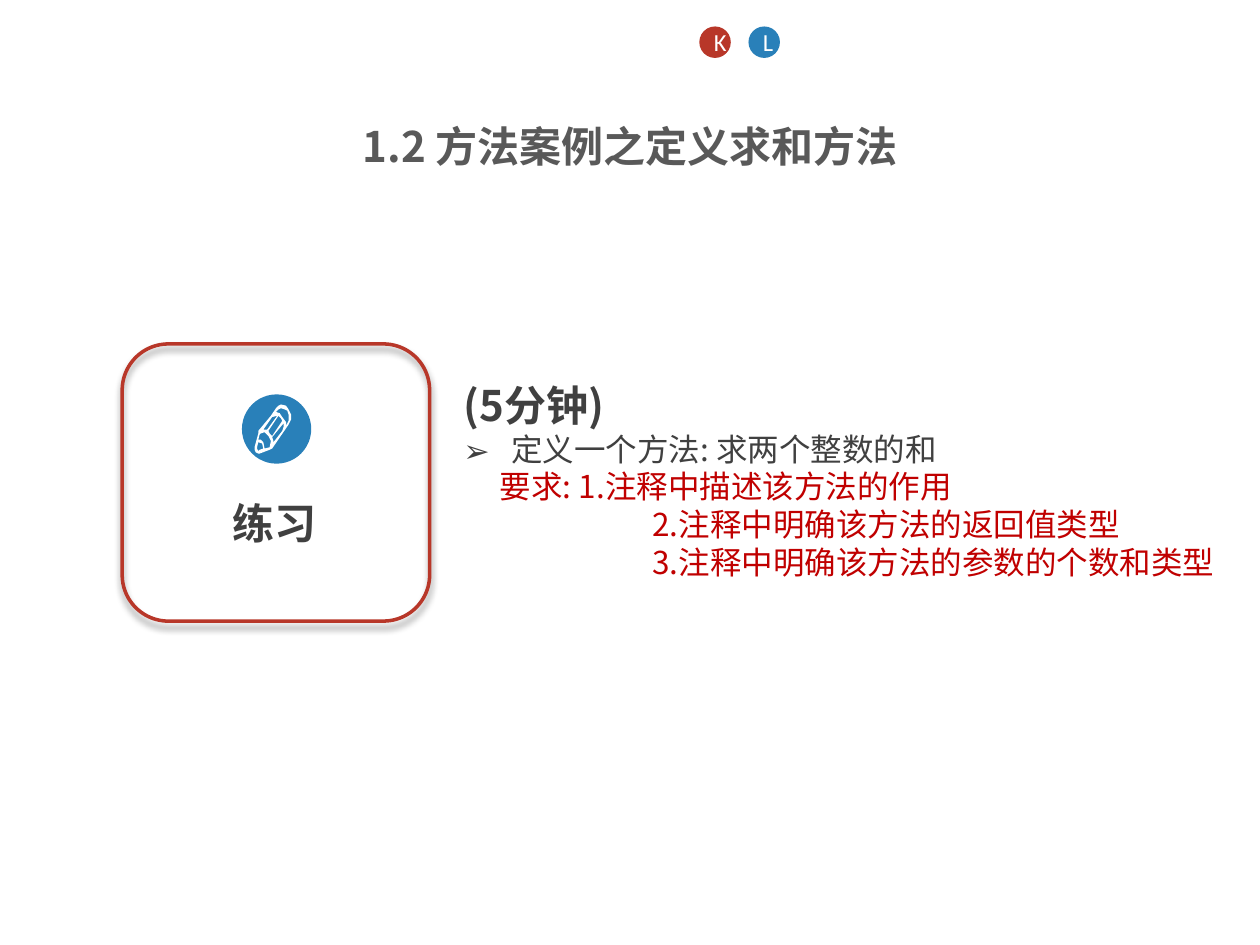
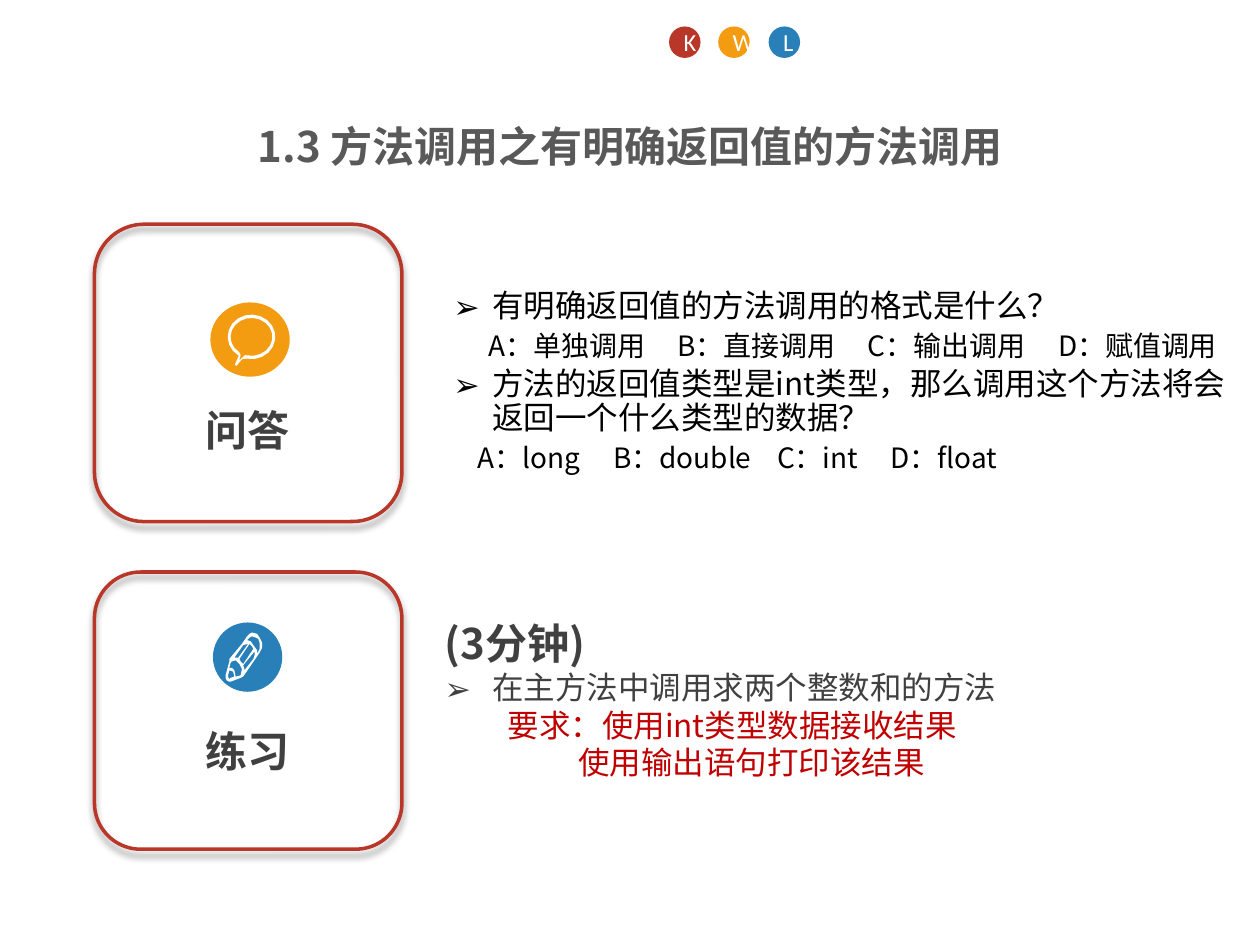
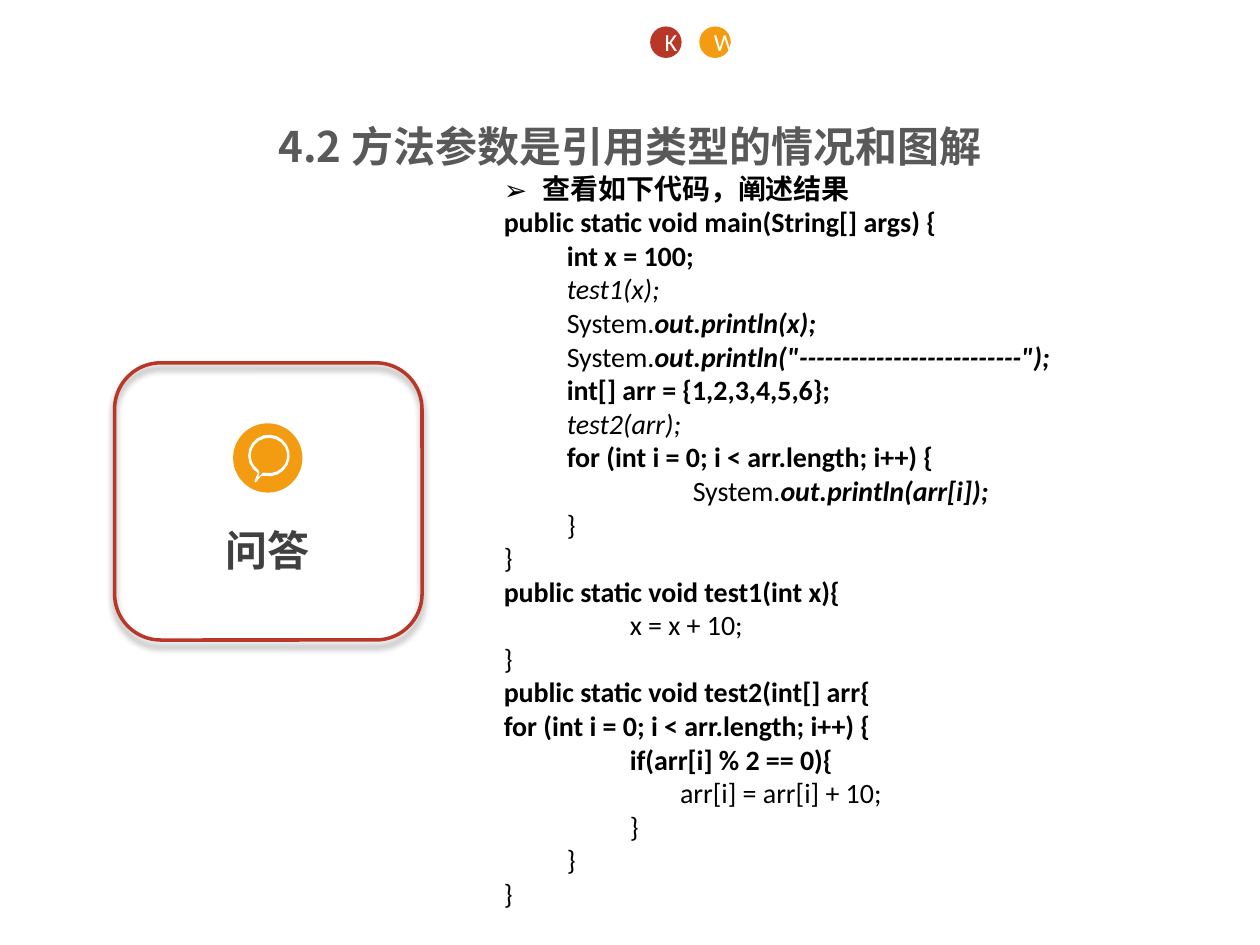
from dataclasses import dataclass
from math import cos, radians, sin

from lxml import etree
from pptx import Presentation
from pptx.dml.color import RGBColor
from pptx.enum.shapes import MSO_SHAPE
from pptx.enum.text import MSO_ANCHOR, PP_ALIGN
from pptx.oxml.ns import qn
from pptx.util import Emu, Pt

ELLIPSE = MSO_SHAPE.OVAL
ROUNDED = MSO_SHAPE.ROUNDED_RECTANGLE
CENTER = PP_ALIGN.CENTER
MIDDLE = MSO_ANCHOR.MIDDLE

EMU_PER_PX = 9144
COLORS = {
    "red": "B83729",
    "blue": "2980B9",
    "orange": "F39C12",
    "white": "FFFFFF",
    "black": "000000",
    "title": "595959",
    "dark": "404040",
    "alert": "C00000",
}
CJK_FONT = "Noto Sans CJK SC"
LATIN_FONT = "Calibri"
LINE_RATIO = 1.2
BADGE_COLORS = {"K": "red", "W": "orange", "L": "blue"}
BADGE_SIZE = 25
BADGE_PAIR_STEP = 79
CARD_WIDTH = 244
DISC_GRID = 55
ARC_STEPS = 18

Point = tuple[float, float]


@dataclass(frozen=True)
class Span:
    text: str
    bold: bool = False
    italic: bool = False


@dataclass(frozen=True)
class Line:
    spans: tuple[Span, ...]
    size: int = 18
    color: str = "black"
    font: str = CJK_FONT
    indent: int = 0
    hanging: int = 0
    tabs: tuple[int, ...] = ()
    tightness: float = 1.0
    after: float = 0.0


@dataclass(frozen=True)
class Body:
    left: int
    top: int
    width: int
    height: int
    lines: list[Line]


@dataclass(frozen=True)
class Topic:
    label: str
    color: str
    contours: list[list[Point]]


@dataclass(frozen=True)
class Card:
    topic: Topic
    left: int
    top: int
    disc_left: int
    disc_top: int
    label_top: int
    height: int = 220
    disc_width: int = DISC_GRID
    disc_height: int = DISC_GRID


@dataclass(frozen=True)
class Lesson:
    title: str
    badges: str
    badge_left: int
    cards: list[Card]
    bodies: list[Body]


def px(length: float) -> Emu:
    return Emu(round(length * EMU_PER_PX))


def rgb(name: str) -> RGBColor:
    return RGBColor.from_string(COLORS[name])


def arc(center: Point, radius: Point, start: int, end: int) -> list[Point]:
    angles = [radians(start + (end - start) * step / ARC_STEPS) for step in range(ARC_STEPS + 1)]
    return [
        (center[0] + radius[0] * cos(angle), center[1] + radius[1] * sin(angle))
        for angle in angles
    ]


BUBBLE_CENTER = (28.5, 25.5)
BUBBLE = [
    arc(BUBBLE_CENTER, (16.5, 16.5), 122, 462) + [(22, 42), (18, 47), (17, 46), (19, 41)],
    arc(BUBBLE_CENTER, (14.5, 14), 126, 462) + [(24, 39), (20, 43), (21, 39)],
]
PENCIL = [
    [(37, 12), (35, 9), (31, 8), (29, 9), (27, 11), (23, 17), (13, 29), (13, 31), (10, 42),
     (10, 44), (11, 46), (13, 47), (14, 47), (22, 44), (24, 43), (37, 24), (39, 20), (39, 16)],
    [(36, 23), (35, 25), (35, 22), (32, 18), (30, 15), (27, 14), (29, 12), (31, 11), (34, 12),
     (36, 13), (37, 16), (37, 18), (37, 21)],
    [(18, 43), (17, 38), (15, 36), (13, 36), (14, 32), (15, 31), (18, 30), (21, 33), (23, 37),
     (22, 42)],
    [(14, 44), (13, 45), (12, 43), (12, 42), (13, 38), (16, 39), (17, 43)],
    [(20, 28), (17, 28), (24, 18), (28, 17)],
    [(24, 33), (22, 31), (21, 29), (29, 17), (31, 19), (32, 21)],
    [(25, 37), (24, 34), (33, 23), (33, 26), (32, 29), (25, 38)],
]
PRACTICE = Topic("练习", "blue", PENCIL)
QUESTION = Topic("问答", "orange", BUBBLE)


def write_line(para, line: Line) -> None:
    properties = para._p.get_or_add_pPr()
    if line.indent:
        properties.set("marL", str(px(line.indent)))
        properties.set("indent", str(px(-line.hanging)))
    if line.hanging:
        etree.SubElement(properties, qn("a:buFont"), typeface=CJK_FONT)
        etree.SubElement(properties, qn("a:buChar"), char="➢")
    if line.tabs:
        tab_list = etree.SubElement(properties, qn("a:tabLst"))
        for position in line.tabs:
            etree.SubElement(tab_list, qn("a:tab"), pos=str(px(position)), algn="l")
    para.line_spacing = Pt(line.size * LINE_RATIO * line.tightness)
    if line.after:
        para.space_after = Pt(line.after)
    para.font.size = Pt(line.size)
    para.font.name = line.font
    para.font.color.rgb = rgb(line.color)
    etree.SubElement(properties.find(qn("a:defRPr")), qn("a:ea"), typeface=CJK_FONT)
    for span in line.spans:
        run = para.add_run()
        run.text = span.text
        font = para.font if len(line.spans) == 1 else run.font
        font.bold = span.bold
        font.italic = span.italic


def add_text(page, body: Body):
    box = page.shapes.add_textbox(px(body.left), px(body.top), px(body.width), px(body.height))
    frame = box.text_frame
    frame.word_wrap = True
    for index, line in enumerate(body.lines):
        write_line(frame.add_paragraph() if index else frame.paragraphs[0], line)
    return box


def add_disc(page, left: int, top: int, width: int, height: int, color: str):
    disc = page.shapes.add_shape(ELLIPSE, px(left), px(top), px(width), px(height))
    disc.shadow.inherit = False
    disc.fill.solid()
    disc.fill.fore_color.rgb = rgb(color)
    disc.line.fill.background()
    return disc


def add_badges(page, letters: str, left: int) -> None:
    for index, letter in enumerate(letters):
        badge = add_disc(page, left + index * BADGE_PAIR_STEP // 2, 21, BADGE_SIZE, BADGE_SIZE,
                         BADGE_COLORS[letter])
        badge.text_frame.vertical_anchor = MIDDLE
        para = badge.text_frame.paragraphs[0]
        para.alignment = CENTER
        write_line(para, Line((Span(letter),), 14, "white", LATIN_FONT))


def add_glyph(page, card: Card, left: int, top: int) -> None:
    def place(point: Point) -> Point:
        return (px(left + point[0] * card.disc_width / DISC_GRID),
                px(top + point[1] * card.disc_height / DISC_GRID))

    contours = [[place(point) for point in contour] for contour in card.topic.contours]
    builder = page.shapes.build_freeform(*contours[0][0], scale=1.0)
    for index, contour in enumerate(contours):
        if index:
            builder.move_to(*contour[0])
        builder.add_line_segments(contour[1:], close=True)
    glyph = builder.convert_to_shape()
    glyph.shadow.inherit = False
    glyph.fill.solid()
    glyph.fill.fore_color.rgb = rgb("white")
    glyph.line.fill.background()


def add_card(page, card: Card) -> None:
    frame = page.shapes.add_shape(ROUNDED, px(card.left), px(card.top), px(CARD_WIDTH),
                                  px(card.height))
    frame.shadow.inherit = False
    frame.fill.background()
    frame.line.color.rgb = rgb("red")
    frame.line.width = Pt(2)
    effects = frame._element.spPr.find(qn("a:effectLst"))
    shadow = etree.SubElement(effects, qn("a:outerShdw"), blurRad=str(Pt(4)), dist=str(Pt(3)),
                              dir="5400000", rotWithShape="0")
    shade = etree.SubElement(shadow, qn("a:srgbClr"), val=COLORS["black"])
    etree.SubElement(shade, qn("a:alpha"), val="40000")

    disc_left = card.left + card.disc_left
    disc_top = card.top + card.disc_top
    add_disc(page, disc_left, disc_top, card.disc_width, card.disc_height, card.topic.color)
    add_glyph(page, card, disc_left, disc_top)
    label = Line((Span(card.topic.label, bold=True),), 24, "dark", tightness=0.9)
    add_text(page, Body(card.left + 78, card.top + card.label_top, 87, 45, [label]))


def add_lesson(deck, lesson: Lesson) -> None:
    page = deck.slides.add_slide(deck.slide_layouts[6])
    for body in lesson.bodies:
        add_text(page, body)
    for card in lesson.cards:
        add_card(page, card)
    add_badges(page, lesson.badges, lesson.badge_left)
    heading = Line((Span(lesson.title, bold=True),), 24, "title")
    title = add_text(page, Body(0, 91, 1000, 47, [heading]))
    title.text_frame.paragraphs[0].alignment = CENTER


def duration(text: str) -> Line:
    return Line((Span(text, bold=True),), 24, "dark")


def task(text: str) -> Line:
    return Line((Span(text),), color="dark", indent=38, hanging=38)


def demand(text: str, indent: int) -> Line:
    return Line((Span(text),), color="alert", indent=indent)


def question(text: str) -> Line:
    return Line((Span(text),), indent=31, hanging=31, tightness=0.9, after=3.6)


def choices(options: list[str], tabs: tuple[int, ...]) -> Line:
    text = "".join(f"\t{option}" for option in options)
    return Line((Span(text),), 16, tabs=tabs, tightness=0.95, after=3.6)


def code(indent: int, *spans: Span) -> Line:
    return Line(spans, 16, font=LATIN_FONT, indent=indent)


def bold(text: str) -> Span:
    return Span(text, bold=True)


def call(text: str) -> Span:
    return Span(text, bold=True, italic=True)


SYSTEM = Span("System.")
CLOSE = Span("}")
LOOP = bold("for (int i = 0; i < arr.length; i++) {")
CODE_LINES = [
    Line((bold("查看如下代码，阐述结果"),), 16, font=LATIN_FONT, indent=31, hanging=31),
    code(0, bold("public static void main(String[] args) {")),
    code(50, bold("int x = 100;")),
    code(50, Span("test1(x);", italic=True)),
    code(50, SYSTEM, call("out.println(x);")),
    code(50, SYSTEM, call('out.println("--------------------------");')),
    code(50, bold("int[] arr = {1,2,3,4,5,6};")),
    code(50, Span("test2(arr);", italic=True)),
    code(50, LOOP),
    code(150, SYSTEM, call("out.println(arr[i]);")),
    code(50, CLOSE),
    code(0, CLOSE),
    code(0, bold("public static void test1(int x){")),
    code(100, Span("x = x + 10;")),
    code(0, CLOSE),
    code(0, bold("public static void test2(int[] arr{")),
    code(0, LOOP),
    code(100, bold("if(arr[i] % 2 == 0){")),
    code(140, Span("arr[i] = arr[i] + 10;")),
    code(100, CLOSE),
    code(50, CLOSE),
    code(0, CLOSE),
]

LESSONS = [
    Lesson(
        "1.2 方法案例之定义求和方法", "KL", 555,
        [Card(PRACTICE, 97, 273, 95, 40, 121)],
        [Body(358, 296, 637, 172, [
            duration("(5分钟)"),
            task("定义一个方法: 求两个整数的和"),
            demand("要求: 1.注释中描述该方法的作用", 29),
            demand("2.注释中明确该方法的返回值类型", 150),
            demand("3.注释中明确该方法的参数的个数和类型", 150),
        ])],
    ),
    Lesson(
        "1.3 方法调用之有明确返回值的方法调用", "KWL", 531,
        [
            Card(PRACTICE, 75, 454, 94, 40, 121),
            Card(QUESTION, 75, 178, 92, 62, 142, 236, 63, 59),
        ],
        [
            Body(343, 485, 637, 141, [
                duration("(3分钟)"),
                task("在主方法中调用求两个整数和的方法"),
                demand("要求：使用int类型数据接收结果", 50),
                demand("使用输出语句打印该结果", 106),
            ]),
            Body(350, 225, 640, 231, [
                question("有明确返回值的方法调用的格式是什么？"),
                choices(["A：单独调用", "B：直接调用", "C：输出调用", "D：赋值调用"],
                        (28, 178, 329, 480)),
                question("方法的返回值类型是int类型，那么调用这个方法将会返回一个什么类型的数据？"),
                choices(["A：long", "B：double", "C：int", "D：float"], (19, 127, 257, 347)),
            ]),
        ],
    ),
    Lesson(
        "4.2 方法参数是引用类型的情况和图解", "KW", 516,
        [Card(QUESTION, 91, 288, 94, 48, 127)],
        [Body(390, 131, 626, 690, CODE_LINES)],
    ),
]


def main() -> None:
    deck = Presentation()
    deck.slide_width = px(1000)
    deck.slide_height = px(750)
    for lesson in LESSONS:
        add_lesson(deck, lesson)
    deck.save("out.pptx")


if __name__ == "__main__":
    main()
